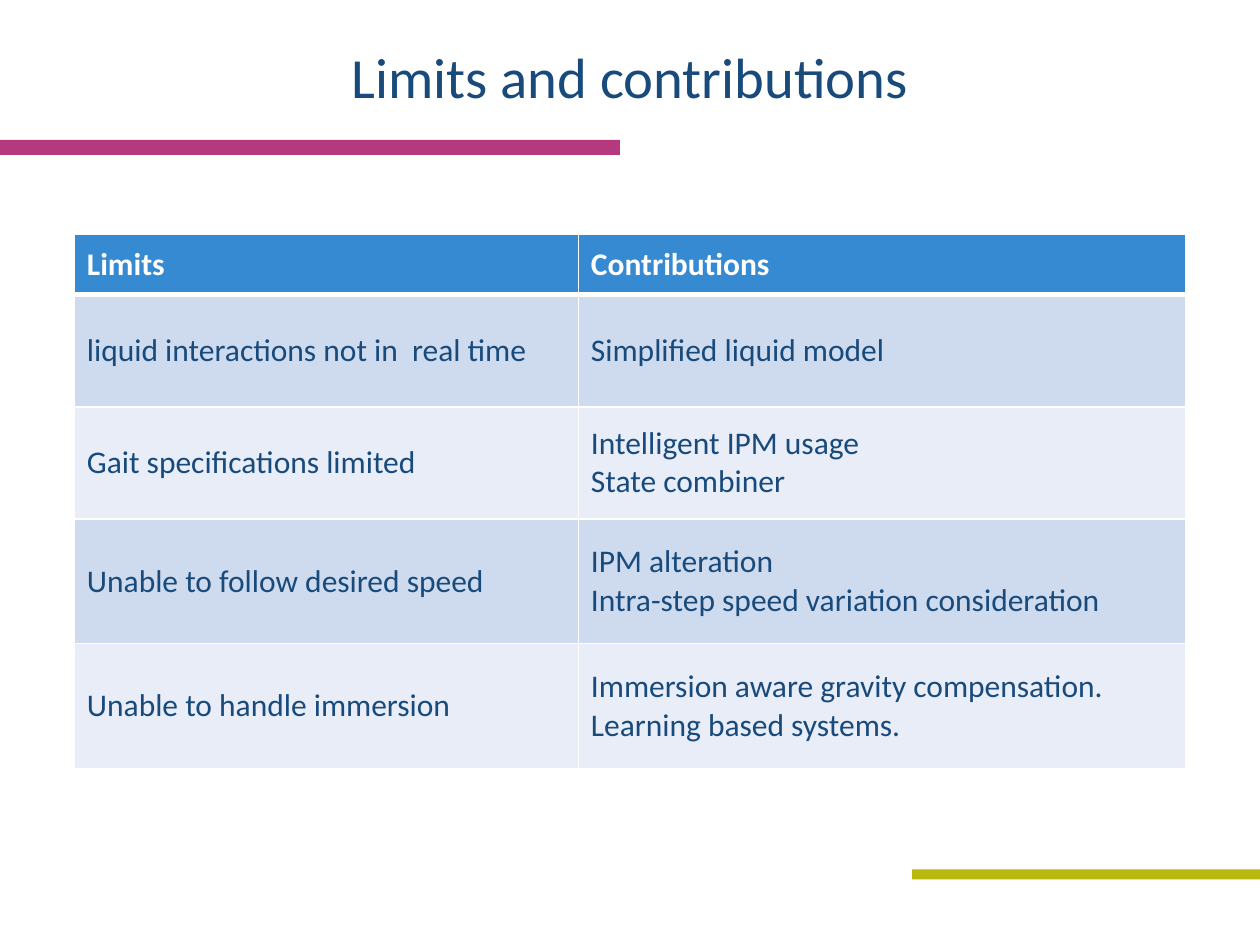
"""Build the slide that sets limits against contributions."""
from dataclasses import dataclass

from lxml.etree import SubElement
from pptx import Presentation
from pptx.dml.color import RGBColor
from pptx.enum.shapes import MSO_SHAPE
from pptx.enum.text import MSO_ANCHOR, PP_ALIGN
from pptx.oxml.ns import qn
from pptx.util import Inches, Pt


@dataclass(frozen=True)
class Theme:
    font: str = "Calibri"
    title_size: float = 32.4
    table_size: float = 18
    ink: str = "184A7C"
    white: str = "FFFFFF"
    magenta: str = "B5397D"
    olive: str = "B8B90C"
    header: str = "368AD2"
    bands: tuple = ("CEDAEE", "E8EDF7")
    border: float = 1
    header_border: float = 3


def write_text(frame, text, *, font, size, color, bold=False, align=PP_ALIGN.LEFT):
    for index, line in enumerate(text.split("\n")):
        paragraph = frame.add_paragraph() if index else frame.paragraphs[0]
        paragraph.alignment = align
        run = paragraph.add_run()
        run.text = line
        run.font.name = font
        run.font.size = Pt(size)
        run.font.bold = bold
        run.font.color.rgb = RGBColor.from_string(color)


def set_borders(cell, color, widths):
    properties = cell._tc.get_or_add_tcPr()
    for side, width in widths.items():
        line = SubElement(properties, qn(f"a:ln{side}"), w=str(Pt(width)))
        fill = SubElement(line, qn("a:solidFill"))
        SubElement(fill, qn("a:srgbClr"), val=color)


class SlideBuilder:
    def __init__(self, slide, theme):
        self.slide = slide
        self.theme = theme

    def bar(self, left, top, width, height, color):
        box = map(Inches, (left, top, width, height))
        shape = self.slide.shapes.add_shape(MSO_SHAPE.RECTANGLE, *box)
        shape.shadow.inherit = False
        shape.fill.solid()
        shape.fill.fore_color.rgb = RGBColor.from_string(color)
        shape.line.fill.background()

    def title(self, text, left, top, width, height):
        box = map(Inches, (left, top, width, height))
        frame = self.slide.shapes.add_textbox(*box).text_frame
        frame.word_wrap = True
        frame.vertical_anchor = MSO_ANCHOR.MIDDLE
        write_text(frame, text, font=self.theme.font, size=self.theme.title_size,
                   color=self.theme.ink, align=PP_ALIGN.CENTER)

    def table(self, rows, left, top, widths, heights):
        box = map(Inches, (left, top, sum(widths), sum(heights)))
        table = self.slide.shapes.add_table(len(rows), len(widths), *box).table
        for column, width in zip(table.columns, widths):
            column.width = Inches(width)
        for row, height in zip(table.rows, heights):
            row.height = Inches(height)
        for row_index, texts in enumerate(rows):
            for column_index, text in enumerate(texts):
                self.cell(table.cell(row_index, column_index), text, row_index)

    def cell(self, cell, text, row_index):
        theme = self.theme
        is_header = row_index == 0
        set_borders(cell, theme.white, {
            "L": theme.border,
            "R": theme.border,
            "T": theme.header_border if row_index == 1 else theme.border,
            "B": theme.header_border if is_header else theme.border,
        })
        cell.fill.solid()
        color = theme.header if is_header else theme.bands[(row_index - 1) % 2]
        cell.fill.fore_color.rgb = RGBColor.from_string(color)
        cell.vertical_anchor = MSO_ANCHOR.MIDDLE
        write_text(cell.text_frame, text, font=theme.font, size=theme.table_size,
                   color=theme.white if is_header else theme.ink, bold=is_header)


def main():
    presentation = Presentation()
    presentation.slide_width = Inches(10)
    presentation.slide_height = Inches(7.5)
    theme = Theme()
    slide = presentation.slides.add_slide(presentation.slide_layouts[6])
    builder = SlideBuilder(slide, theme)

    builder.bar(-0.01, 0, 10, 1.23, theme.white)
    builder.bar(-0.01, 1.11, 4.93, 0.12, theme.magenta)
    builder.bar(7.24, 6.9, 2.76, 0.08, theme.olive)
    builder.title("Limits and contributions", 0.5, 0.3, 9, 0.61)
    rows = [
        ("Limits", "Contributions"),
        ("liquid interactions not in  real time", "Simplified liquid model"),
        ("Gait specifications limited", "Intelligent IPM usage\nState combiner"),
        ("Unable to follow desired speed",
         "IPM alteration\nIntra-step speed variation consideration"),
        ("Unable to handle immersion",
         "Immersion aware gravity compensation.\nLearning based systems."),
    ]
    builder.table(rows, 0.59, 1.86, (4, 4.82), (0.48, 0.89, 0.89, 0.99, 0.99))
    presentation.save("out.pptx")


if __name__ == "__main__":
    main()
